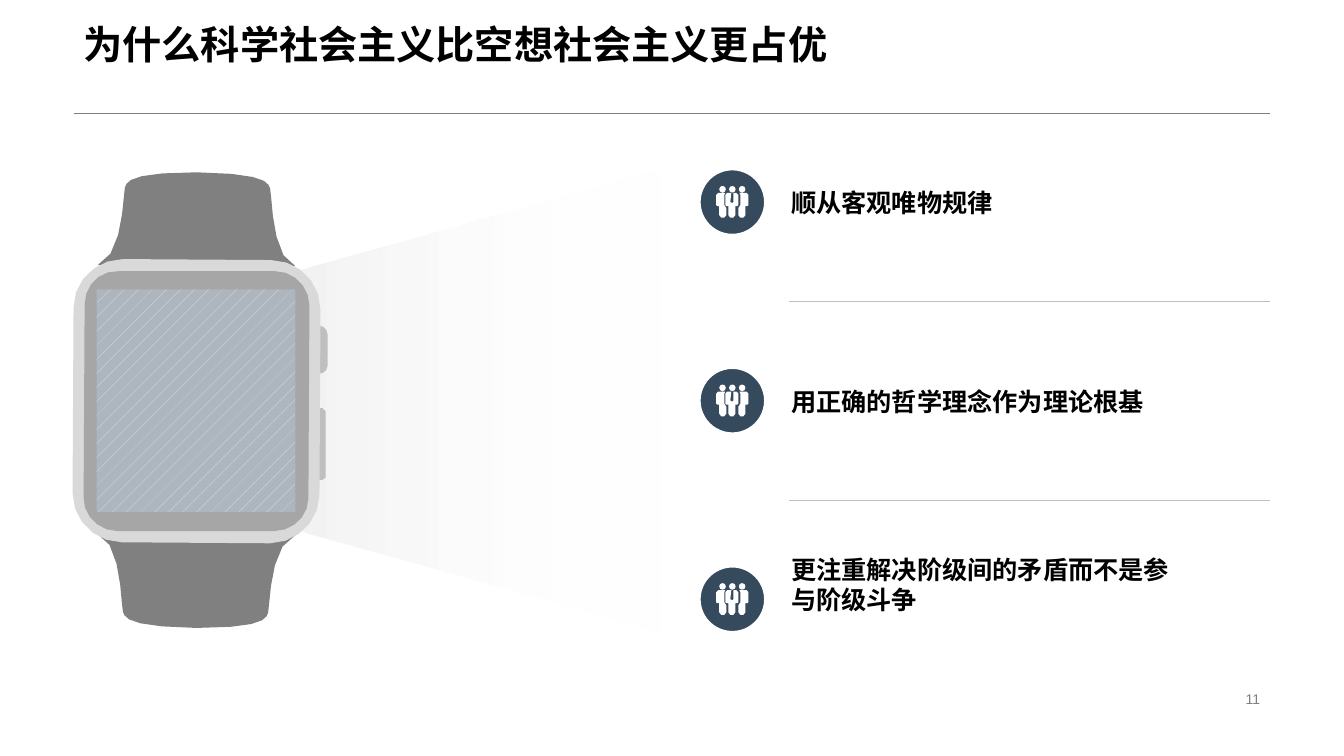
from dataclasses import dataclass
from math import cos, pi, sin

from lxml import etree
from pptx import Presentation
from pptx import util as u
from pptx.dml.color import RGBColor
from pptx.enum import dml, shapes, text
from pptx.oxml import ns


@dataclass(frozen=True)
class Theme:
    font: str = "Arial"
    title_size: int = 28
    point_size: int = 18
    number_size: int = 10
    ink: str = "000000"
    gray: str = "808080"
    button: str = "BFBFBF"
    case: str = "D9D9D9"
    bezel: str = "A6A6A6"
    screen: str = "ADB5BF"
    hatch: str = "E4E6EA"
    badge: str = "364A5E"
    beam: str = "F2F2F2"
    white: str = "FFFFFF"


THEME = Theme()
CELL = u.Inches(0.1)  # square grid: 75 rows, 133.33 columns
COLUMNS, ROWS = 133.33, 75
LEFT, RIGHT = 7.3, 126
ROW_PITCH = 19.7

POINTS = ["顺从客观唯物规律", "用正确的哲学理念作为理论根基", "更注重解决阶级间的矛盾而不是参与阶级斗争"]

# Outlines in cells: pairs are line ends, sixes are Bézier curves
CROWN = [(31.6, 37.1), (31, 37.1, 30.6, 36.3, 30.6, 35.7), (30.6, 33.7),
         (30.6, 33.2, 31, 32.3, 31.6, 32.3), (32.1, 32.3, 32.5, 32.7, 32.5, 33.2),
         (32.5, 36.3), (32.5, 36.7, 32.1, 37.1, 31.6, 37.1)]
SIDE_BUTTON = [(32, 47.6), (31.5, 47.6), (31.5, 40.5), (32, 40.5),
               (32.3, 40.8), (32.3, 47.4)]
STRAP = [(26.8, 18.7), (26.6, 18.2, 26.6, 17.2, 19.5, 17.1),
         (12.6, 17.1, 12.6, 18.1, 12.4, 18.6), (12.2, 19.2, 12.3, 25.3, 9.7, 26.3),
         (19.5, 26.4), (29.3, 26.4), (26.9, 25.6, 27, 19.2, 26.8, 18.7)]
CASE = [(26.8, 53.9), (12.1, 53.8), (9.4, 53.8, 7.2, 51.6, 7.2, 48.9), (7.3, 30.5),
        (7.3, 27.9, 9.5, 25.7, 12.2, 25.7), (26.9, 25.8),
        (29.6, 25.8, 31.8, 28, 31.8, 30.7), (31.7, 49.1),
        (31.7, 51.7, 29.4, 53.9, 26.8, 53.9)]
BEZEL = [(27.1, 52.7), (11.7, 52.7), (9.8, 52.7, 8.2, 51.1, 8.3, 49.3), (8.4, 30.2),
         (8.4, 28.3, 9.9, 26.8, 11.8, 26.9), (27.3, 26.9),
         (29.2, 26.9, 30.7, 28.5, 30.7, 30.3), (30.6, 49.4),
         (30.6, 51.2, 29.1, 52.7, 27.1, 52.7)]
SIDE_PERSON = [(2.3, 0.7), (3, 0.7), (3.2, 0.9), (3.2, 1.9), (3.1, 2), (2.9, 2),
               (2.9, 2.9), (2.7, 3.15), (2.4, 3.15), (2.2, 2.9), (2.2, 2.2),
               (2.4, 1.9), (2.4, 0.9)]
MIDDLE_PERSON = [(1.1, 0.7), (1.5, 0.7), (1.4, 1.6), (1.6, 1.7), (1.7, 1.6),
                 (1.7, 0.7), (2, 0.7), (2.2, 0.9), (2.2, 1.9), (2.1, 2), (1.9, 2),
                 (1.9, 2.9), (1.7, 3.15), (1.4, 3.15), (1.2, 2.9), (1.2, 2), (1, 2),
                 (0.9, 1.9), (0.9, 0.9)]


def cells(*counts):
    return [u.Emu(round(count * CELL)) for count in counts]


def color(name):
    return RGBColor.from_string(name)


def flatten(outline, steps=5):
    """Turn lines and Bézier curves into a list of points."""
    points = [outline[0]]
    for segment in outline[1:]:
        if len(segment) == 2:
            points.append(segment)
            continue
        start, (a, b, c, d, e, f) = points[-1], segment
        for step in range(1, steps + 1):
            t = step / steps
            s = 1 - t
            points.append(tuple(
                s**3 * p + 3 * s * s * t * q + 3 * s * t * t * r + t**3 * end
                for p, q, r, end in zip(start, (a, b), (c, d), (e, f))))
    return points


def circle(x, y, radius, steps=8):
    angles = [2 * pi * step / steps for step in range(steps)]
    return [(x + radius * cos(angle), y + radius * sin(angle)) for angle in angles]


def add_outline(page, contours, fill, left=0, top=0):
    placed = [[cells(x + left, y + top) for x, y in contour] for contour in contours]
    builder = page.shapes.build_freeform(*placed[0][0])
    for index, contour in enumerate(placed):
        if index:
            builder.move_to(*contour[0])
        builder.add_line_segments(contour[1:], close=True)
    shape = builder.convert_to_shape()
    shape.shadow.inherit = False
    shape.fill.solid()
    shape.fill.fore_color.rgb = color(fill)
    shape.line.fill.background()


def add_preset(page, kind, *place):
    shape = page.shapes.add_shape(kind, *cells(*place))
    shape.shadow.inherit = False
    shape.line.fill.background()
    return shape


def add_rule(page, left, row, tint):
    rule = page.shapes.add_connector(shapes.MSO_CONNECTOR.STRAIGHT,
                                     *cells(left, row, RIGHT, row))
    rule.line.color.rgb = color(tint)
    rule.line.width = u.Pt(0.25)
    etree.SubElement(rule._element.spPr, ns.qn("a:effectLst"))


def add_text(page, place, words, size, tint=THEME.ink, bold=True,
             anchor=text.MSO_ANCHOR.MIDDLE, align=text.PP_ALIGN.LEFT, bottom=0.5):
    box = page.shapes.add_textbox(*cells(*place))
    frame = box.text_frame
    frame.word_wrap = True
    frame.vertical_anchor = anchor
    frame.margin_bottom = cells(bottom)[0]
    frame.text = words
    para = frame.paragraphs[0]
    para.alignment = align
    span = para.runs[0]
    span.font.name, span.font.size, span.font.bold = THEME.font, u.Pt(size), bold
    span.font.color.rgb = color(tint)
    return para


def add_beam(page):
    beam = add_preset(page, shapes.MSO_SHAPE.TRAPEZOID, 23.3, 20.3, 46, 38.8)
    beam.rotation = 270
    beam.adjustments[0] = 0.28
    beam.fill.gradient()
    beam.fill.gradient_angle = 270
    for stop, tint in zip(beam.fill.gradient_stops, (THEME.beam, THEME.white)):
        stop.color.rgb = color(tint)
    far_tint = beam._element.spPr.findall(".//" + ns.qn("a:srgbClr"))[-1]
    etree.SubElement(far_tint, ns.qn("a:alpha"), val="0")


def add_watch(page):
    upper = flatten(STRAP)
    lower = [(39 - x, 79.4 - y) for x, y in upper]  # half turn about the case centre
    for contour, tint in ((flatten(CROWN, 3), THEME.button),
                          (SIDE_BUTTON, THEME.button),
                          (lower, THEME.gray), (upper, THEME.gray),
                          (flatten(CASE), THEME.case), (flatten(BEZEL), THEME.bezel)):
        add_outline(page, [contour], tint)
    screen = add_preset(page, shapes.MSO_SHAPE.RECTANGLE, 9.6, 28.7, 19.7, 22.1)
    screen.fill.patterned()
    screen.fill.pattern = dml.MSO_PATTERN.PERCENT_5
    screen.fill.fore_color.rgb = color(THEME.hatch)
    screen.fill.back_color.rgb = color(THEME.screen)


def add_badge(page, left, top):
    disc = add_preset(page, shapes.MSO_SHAPE.OVAL, left, top, 6.5, 6.5)
    disc.fill.solid()
    disc.fill.fore_color.rgb = color(THEME.badge)
    disc.line.color.rgb = color(THEME.white)
    disc.line.width = u.Pt(1.5)
    mirrored = [(3.2 - x, y) for x, y in SIDE_PERSON]
    heads = [circle(x, 0.33, 0.33) for x in (0.63, 1.6, 2.57)]
    add_outline(page, [SIDE_PERSON, mirrored, MIDDLE_PERSON] + heads, THEME.white,
                left + 1.65, top + 1.65)


def main():
    deck = Presentation()
    deck.slide_width, deck.slide_height = cells(COLUMNS, ROWS)
    page = deck.slides.add_slide(deck.slide_layouts[6])

    # Heading and page number
    add_rule(page, LEFT, 11.2, THEME.gray)
    title = add_text(page, (LEFT, 0, RIGHT - LEFT, 11.2), "为什么科学社会主义比空想社会主义更占优",
                     THEME.title_size, anchor=text.MSO_ANCHOR.BOTTOM, bottom=4.5)
    title.line_spacing = 0.9
    add_text(page, (94.2, 68.2, 31.8, 2.3), "11", THEME.number_size, THEME.gray,
             bold=False, align=text.PP_ALIGN.RIGHT)

    # Watch with its light beam
    add_beam(page)
    add_watch(page)

    # Three points, with rules between them
    for index, words in enumerate(POINTS):
        shift = index * ROW_PITCH
        last = index == len(POINTS) - 1
        add_badge(page, 69.4, 16.8 + shift)
        add_text(page, (77.5, 13 + shift, 40, 14.2), words, THEME.point_size,
                 bottom=3.5 if last else 0.5)
        if not last:
            add_rule(page, 78.3, 29.9 + shift, THEME.button)

    deck.save("out.pptx")


if __name__ == "__main__":
    main()
